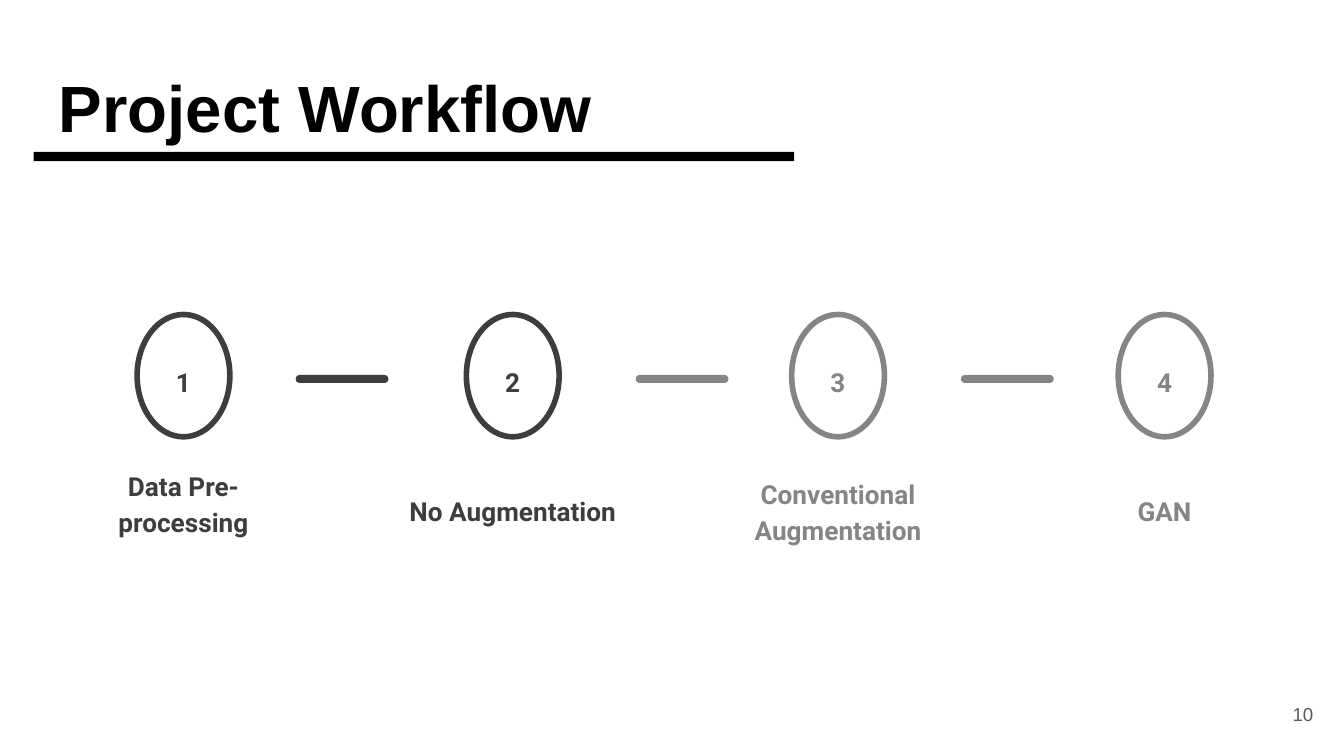
from pptx import Presentation
from pptx.dml.color import RGBColor
from pptx.enum.shapes import MSO_SHAPE as Shape
from pptx.enum.text import MSO_ANCHOR as Anchor, PP_ALIGN as Align
from pptx.util import Inches, Pt

BLACK, DARK, GRAY = "000000", "3D3D3D", "858585"
STEPS = [
    ("Data Pre-processing", 1.02, 3.42, DARK),
    ("No Augmentation", 3.47, 3.34, DARK),
    ("Conventional Augmentation", 5.89, 3.48, GRAY),
    ("GAN", 8.32, 3.34, GRAY),
]
DASHES = [(2.2, DARK), (4.73, GRAY), (7.15, GRAY)]
STEP_FONT = {"name": "Roboto", "size": Pt(14), "bold": True}


def set_all(target, values):
    for name, value in values.items():
        setattr(target, name, value)


def paint(color_format, color):
    color_format.rgb = RGBColor.from_string(color)


def add_text(shapes, words, box, color, font, paragraph=None, anchor=Anchor.TOP):
    frame = shapes.add_textbox(*map(Inches, box)).text_frame
    margins = ("margin_left", "margin_top", "margin_right", "margin_bottom")
    set_all(frame, {"word_wrap": True, "vertical_anchor": anchor,
                    **dict.fromkeys(margins, Inches(0.1))})
    line = frame.paragraphs[0]
    set_all(line, paragraph or {})
    run = line.add_run()
    run.text = words
    set_all(run.font, font)
    paint(run.font.color, color)


def add_bar(shapes, kind, box, color):
    bar = shapes.add_shape(kind, *map(Inches, box))
    bar.shadow.inherit = False
    bar.fill.solid()
    paint(bar.fill.fore_color, color)
    bar.line.fill.background()
    return bar


def add_ring(shapes, box, color):
    ring = shapes.add_shape(Shape.OVAL, *map(Inches, box))
    ring.shadow.inherit = False
    ring.fill.background()
    paint(ring.line.color, color)
    ring.line.width = Pt(3)


def add_step(slide, number, label, left, label_top, color):
    step = slide.shapes.add_group_shape().shapes
    centered = {"alignment": Align.CENTER, "line_spacing": 1.15}
    add_ring(step, (left, 2.34, 0.69, 0.91), color)
    add_text(step, str(number), (left + 0.09, 2.59, 0.51, 0.49), color,
             STEP_FONT, {**centered, "space_after": Pt(16)})
    add_text(step, label, (left - 0.65, label_top, 1.99, 0.68), color,
             STEP_FONT, centered, Anchor.BOTTOM)


def main():
    deck = Presentation()
    set_all(deck, {"slide_width": Inches(10), "slide_height": Inches(10 * 9 / 16)})
    slide = deck.slides.add_slide(deck.slide_layouts[6])

    add_text(slide.shapes, "Project Workflow", (0.34, 0.4, 9.32, 0.63), BLACK,
             {"name": "Arial", "size": Pt(35), "bold": True})
    add_bar(slide.shapes, Shape.RECTANGLE, (0.25, 1.13, 5.66, 0.07), BLACK)
    for left, color in DASHES:
        dash = add_bar(slide.shapes, Shape.ROUNDED_RECTANGLE,
                       (left, 2.79, 0.69, 0.06), color)
        dash.adjustments[0] = 0.5
    for number, step in enumerate(STEPS, 1):
        add_step(slide, number, *step)
    add_text(slide.shapes, "10", (9.27, 5.1, 0.6, 0.43), "595959",
             {"name": "Arial", "size": Pt(10)},
             {"alignment": Align.RIGHT}, Anchor.MIDDLE)
    deck.save("out.pptx")


if __name__ == "__main__":
    main()
